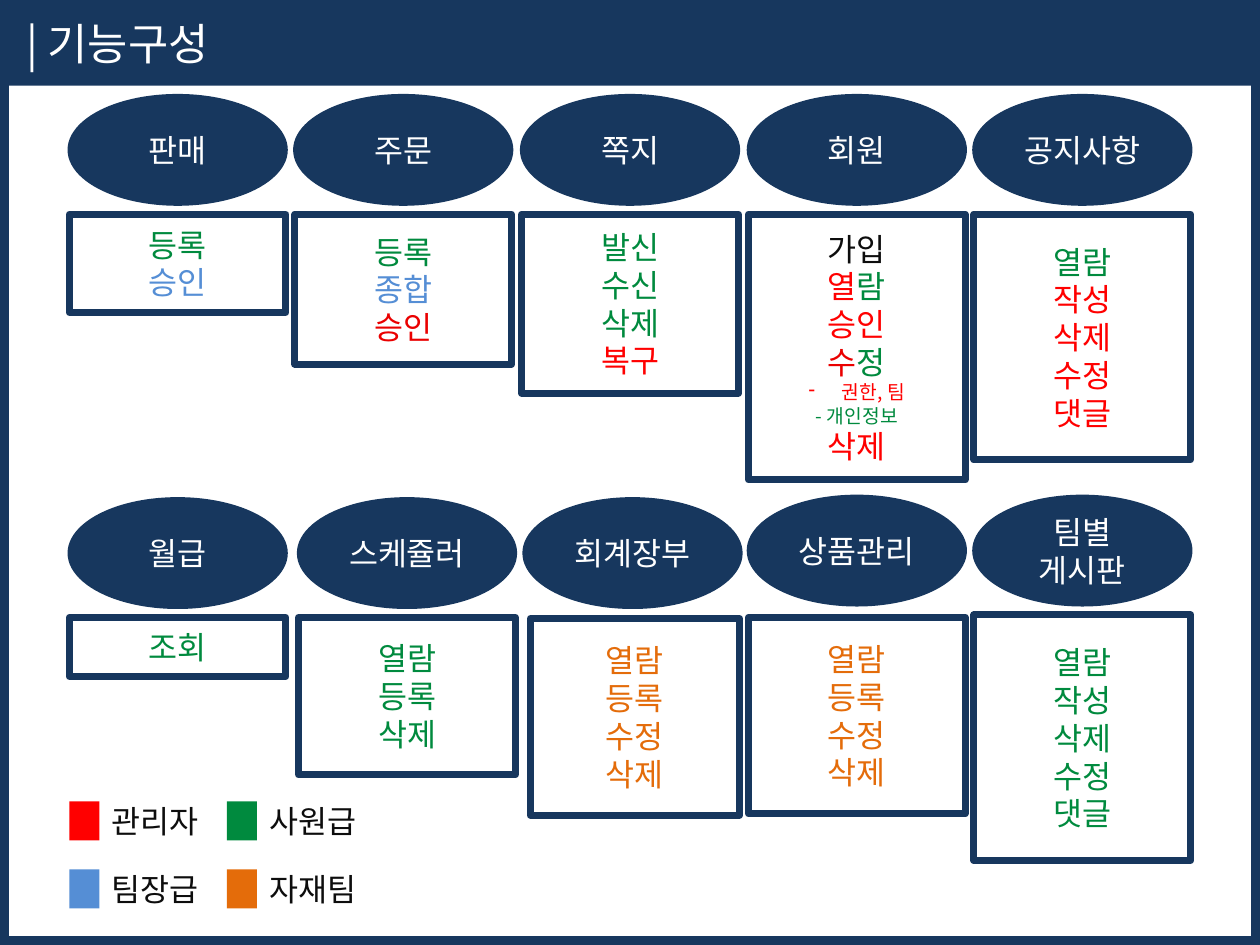
from lxml import etree
from pptx import Presentation
from pptx.dml.color import RGBColor
from pptx.enum.shapes import MSO_SHAPE
from pptx.enum.text import MSO_ANCHOR, PP_ALIGN
from pptx.oxml.ns import qn
from pptx.util import Inches, Pt

RECT, OVAL = MSO_SHAPE.RECTANGLE, MSO_SHAPE.OVAL
MIDDLE = MSO_ANCHOR.MIDDLE
LEFT, CENTER = PP_ALIGN.LEFT, PP_ALIGN.CENTER
NAVY = RGBColor(0x17, 0x37, 0x5E)
WHITE = RGBColor(0xFF, 0xFF, 0xFF)
BLACK = RGBColor(0x0D, 0x0D, 0x0D)
RED = RGBColor(0xFF, 0x00, 0x00)
DARK = RGBColor(0xEA, 0x00, 0x00)
GREEN = RGBColor(0x00, 0x8A, 0x3E)
BLUE = RGBColor(0x55, 0x8E, 0xD5)
ORANGE = RGBColor(0xE4, 0x6C, 0x0A)
FONT = "Noto Sans CJK KR"
BODY, SMALL = 18, 11
WIDTH, OVAL_H = 1.72, 0.86
BULLET = "-"


def lines(color, *words):
    return [[(word, color)] for word in words]


MEMBER = [
    [("가입", BLACK)],
    [("열", RED), ("람", GREEN)],
    [("승인", RED)],
    [("수", DARK), ("정", GREEN)],
    [(" 권한, 팀", RED)],
    [("- 개인정보", GREEN)],
    [("삭제", RED)],
]
STOCK = lines(ORANGE, "열람", "등록", "수정", "삭제")

# name, oval left, oval top, box left, box top, box width, box height, lines
PARTS = [
    ("판매", 0.55, 0.76, 0.55, 1.7, WIDTH, 0.78,
     lines(GREEN, "등록") + lines(BLUE, "승인")),
    ("주문", 2.34, 0.76, 2.34, 1.7, WIDTH, 1.19,
     lines(GREEN, "등록") + lines(BLUE, "종합") + lines(DARK, "승인")),
    ("쪽지", 4.14, 0.76, 4.14, 1.7, WIDTH, 1.42,
     lines(GREEN, "발신", "수신", "삭제") + lines(RED, "복구")),
    ("회원", 5.94, 0.76, 5.94, 1.7, WIDTH, 2.11, MEMBER),
    ("공지사항", 7.73, 0.76, 7.73, 1.7, WIDTH, 1.95,
     lines(GREEN, "열람") + lines(RED, "작성", "삭제", "수정", "댓글")),
    ("월급", 0.55, 3.96, 0.55, 4.9, WIDTH, 0.47, lines(GREEN, "조회")),
    ("스케쥴러", 2.37, 3.96, 2.37, 4.9, WIDTH, 1.25,
     lines(GREEN, "열람", "등록", "삭제")),
    ("회계장부", 4.16, 3.96, 4.21, 4.91, 1.66, 1.56, STOCK),
    ("상품관리", 5.94, 3.94, 5.94, 4.9, WIDTH, 1.56, STOCK),
    ("팀별\n게시판", 7.73, 3.94, 7.73, 4.88, WIDTH, 1.95,
     lines(GREEN, "열람", "작성", "삭제", "수정", "댓글")),
]
LEGEND = [
    [("관리자", RED), ("사원급", GREEN)],
    [("팀장급", BLUE), ("자재팀", ORANGE)],
]

deck = Presentation()
deck.slide_width, deck.slide_height = Inches(10), Inches(7.5)
slide = deck.slides.add_slide(deck.slide_layouts[6])


def draw(kind, x, y, w, h, fill=None, line=None):
    shape = slide.shapes.add_shape(kind, *map(Inches, (x, y, w, h)))
    shape.shadow.inherit = False
    if fill is None:
        shape.fill.background()
    else:
        shape.fill.solid()
        shape.fill.fore_color.rgb = fill
    if line is None:
        shape.line.fill.background()
    else:
        shape.line.color.rgb = NAVY
        shape.line.width = Pt(line)
    return shape


def dash(para):
    props = para._p.get_or_add_pPr()
    props.set("marL", str(Inches(0.23)))
    props.set("indent", str(-Inches(0.23)))
    mark = etree.Element(qn("a:buChar"), char=BULLET)
    props.insert(0, mark)


def write(shape, rows, size=BODY, align=CENTER, anchor=MIDDLE):
    frame = shape.text_frame
    frame.word_wrap = True
    if anchor is not None:
        frame.vertical_anchor = anchor
    for i, row in enumerate(rows):
        para = frame.add_paragraph() if i else frame.paragraphs[0]
        para.alignment = align
        text = "".join(word for word, _ in row)
        font = para.font
        font.name = FONT
        font.size = Pt(SMALL if text in (" 권한, 팀", "- 개인정보") else size)
        etree.SubElement(font._element, qn("a:ea"), typeface=FONT)
        if len(row) == 1:
            font.color.rgb = row[0][1]
        for word, color in row:
            run = para.add_run()
            run.text = word
            if len(row) > 1:
                run.font.color.rgb = color
        if text.startswith(" "):
            dash(para)


def label(x, y, w, h, text, color, size=BODY, anchor=MIDDLE):
    box = slide.shapes.add_textbox(*map(Inches, (x, y, w, h)))
    write(box, lines(color, text), size, LEFT, anchor)


draw(RECT, 0, 0, 10, 0.68, NAVY)
label(0.11, 0.08, 4.88, 0.52, "| 기능구성", WHITE, 25, None)
draw(RECT, 0, 0, 10, 7.5, line=10.25)

for name, ox, oy, x, y, w, h, rows in PARTS:
    oval = draw(OVAL, ox, oy, WIDTH, OVAL_H, NAVY, 2)
    write(oval, lines(WHITE, *name.split("\n")))
    write(draw(RECT, x, y, w, h, line=4), rows)

for r, row in enumerate(LEGEND):
    for c, (name, color) in enumerate(row):
        x, y = 0.55 + 1.25 * c, 6.36 + 0.54 * r
        draw(RECT, x, y, 0.24, 0.31, color)
        label(x + 0.24, y, 1.32, 0.31, name, BLACK)

deck.save("out.pptx")
